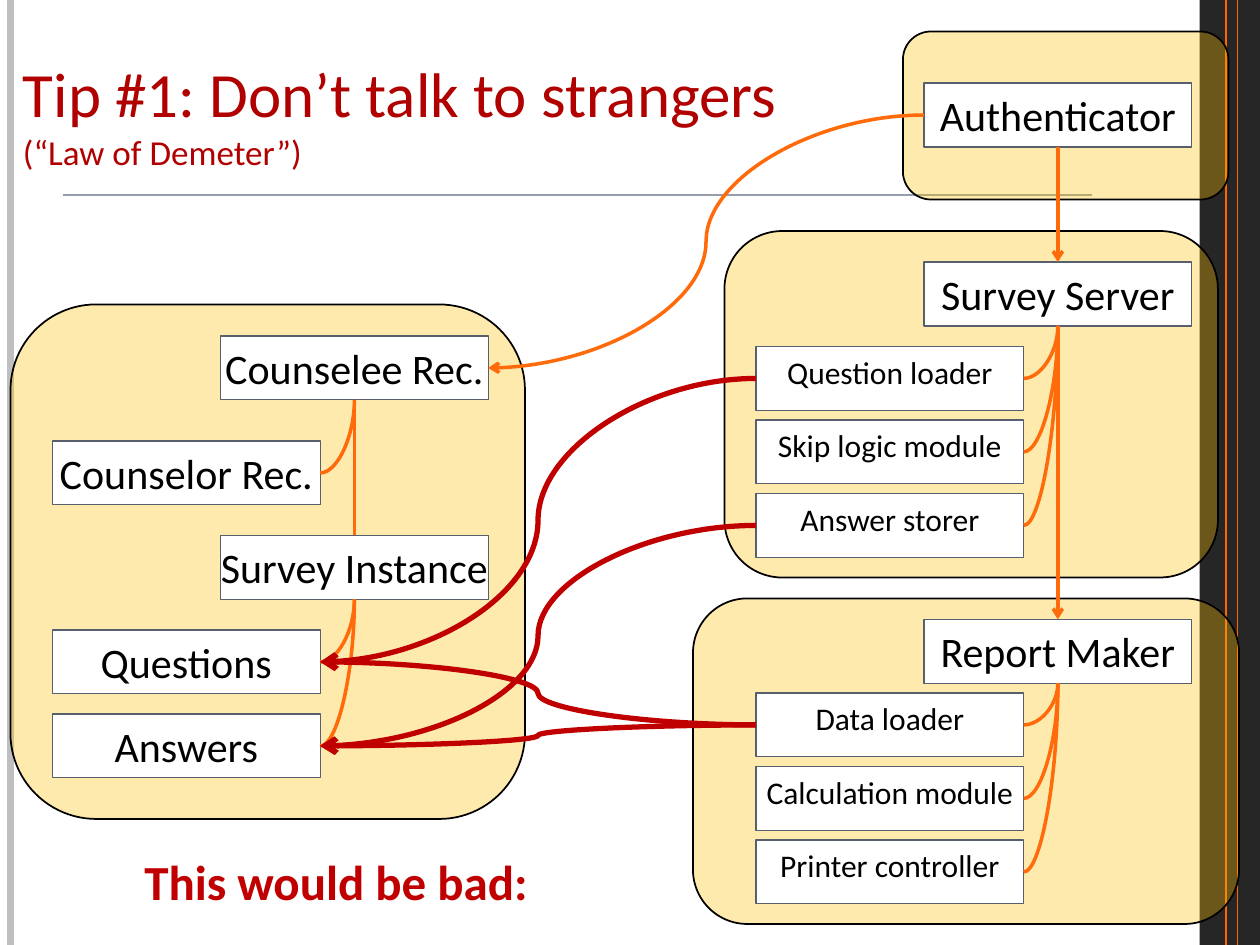
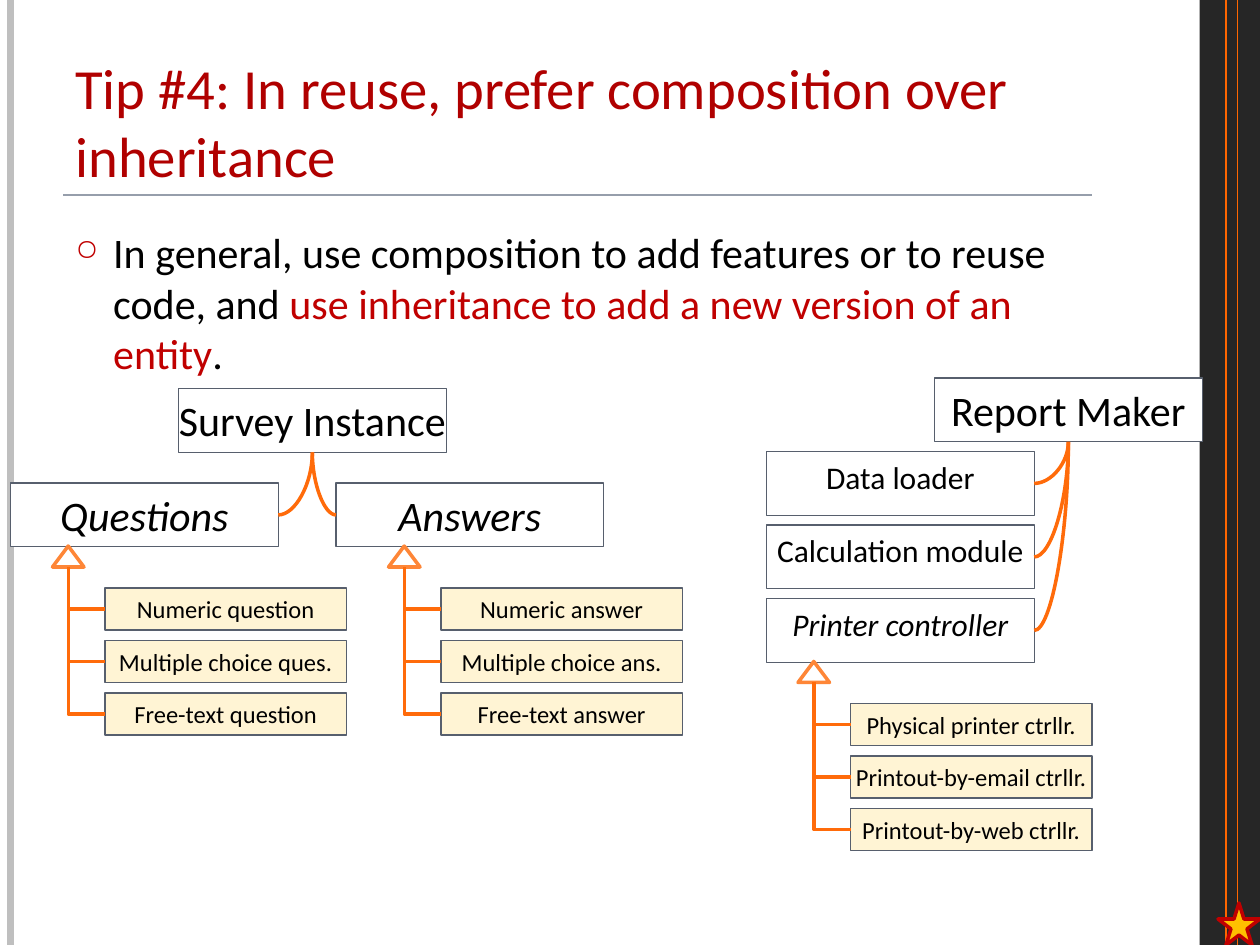
from lxml import etree
from pptx import Presentation
from pptx.dml.color import RGBColor
from pptx.enum.shapes import MSO_CONNECTOR, MSO_SHAPE
from pptx.enum.text import MSO_ANCHOR, MSO_AUTO_SIZE, PP_ALIGN
from pptx.oxml.ns import qn
from pptx.util import Pt

RECT = MSO_SHAPE.RECTANGLE
ROUNDED = MSO_SHAPE.ROUNDED_RECTANGLE
TRIANGLE = MSO_SHAPE.ISOSCELES_TRIANGLE
STAR = MSO_SHAPE.STAR_5_POINT
STRAIGHT, CURVE, ELBOW = MSO_CONNECTOR.STRAIGHT, MSO_CONNECTOR.CURVE, MSO_CONNECTOR.ELBOW
TOP, BOTTOM = MSO_ANCHOR.TOP, MSO_ANCHOR.BOTTOM
CENTER, LEFT = PP_ALIGN.CENTER, PP_ALIGN.LEFT
GROW = MSO_AUTO_SIZE.SHAPE_TO_FIT_TEXT

FONT = "Calibri"
BLACK = RGBColor(0x00, 0x00, 0x00)
WHITE = RGBColor(0xFF, 0xFF, 0xFF)
CHARCOAL = RGBColor(0x26, 0x26, 0x26)
GREY = RGBColor(0xBF, 0xBF, 0xBF)
RULE_GREY = RGBColor(0x96, 0x9E, 0xAB)
SLATE = RGBColor(0x57, 0x5F, 0x6D)
TITLE_RED = RGBColor(0xB0, 0x00, 0x00)
RED = RGBColor(0xC0, 0x00, 0x00)
GOLD = RGBColor(0xFF, 0xC0, 0x00)
BAND_ORANGE = RGBColor(0xFF, 0x66, 0x00)
ORANGE = RGBColor(0xFF, 0x6B, 0x0A)
PALE_ORANGE = RGBColor(0xFE, 0x86, 0x37)

BOX_WIDTH, BOX_HEIGHT = 153, 36.5
PART_SHIFT, PART_STEP = 96, 42
SUBCLASS_WIDTH, SUBCLASS_HEIGHT, SUBCLASS_STEP = 138, 24, 30


def add_text(paragraph, text, size=24, color=BLACK, bold=False, italic=False):
    """Append one formatted run to a paragraph."""
    run = paragraph.add_run()
    run.text = text
    run.font.name = FONT
    run.font.size = Pt(size)
    run.font.color.rgb = color
    run.font.bold = bold
    run.font.italic = italic


def add_figure(slide, kind, left, top, width, height, fill, line=None, weight=1, alpha=None):
    """Add a filled preset shape, with alpha as a percentage."""
    figure = slide.shapes.add_shape(kind, Pt(left), Pt(top), Pt(width), Pt(height))
    figure.shadow.inherit = False
    figure.fill.solid()
    figure.fill.fore_color.rgb = fill
    if alpha is not None:
        fill_color = figure._element.spPr.find(qn("a:solidFill"))[0]
        etree.SubElement(fill_color, qn("a:alpha"), val=str(alpha * 1000))
    if line is None:
        figure.line.fill.background()
    else:
        figure.line.color.rgb = line
        figure.line.width = Pt(weight)
    return figure


def add_box(slide, text, left, top, width=BOX_WIDTH, height=BOX_HEIGHT,
            fill=WHITE, alpha=None, **text_format):
    """Add an outlined box with a centred label."""
    box = add_figure(slide, RECT, left, top, width, height, fill, SLATE, 0.75, alpha)
    frame = box.text_frame
    frame.word_wrap = False
    frame.vertical_anchor = TOP
    frame.paragraphs[0].alignment = CENTER
    add_text(frame.paragraphs[0], text, **text_format)
    return box


def add_text_area(slide, left, top, width, height, anchor=TOP, wrap=True):
    """Add a text box and return its frame."""
    area = slide.shapes.add_textbox(Pt(left), Pt(top), Pt(width), Pt(height))
    area.text_frame.word_wrap = wrap
    area.text_frame.vertical_anchor = anchor
    area.text_frame.paragraphs[0].alignment = LEFT
    return area.text_frame


def set_indent(paragraph, margin, hanging):
    """Set the left margin and hanging indent of a paragraph."""
    properties = paragraph._p.get_or_add_pPr()
    properties.set("marL", str(Pt(margin)))
    properties.set("indent", str(-Pt(hanging)))
    return properties


def add_bullet(paragraph):
    """Give a paragraph the small red ring bullet."""
    properties = set_indent(paragraph, 21.6, 21.6)
    color = etree.SubElement(properties, qn("a:buClr"))
    etree.SubElement(color, qn("a:srgbClr"), val=str(RED))
    etree.SubElement(properties, qn("a:buSzPct"), val="70000")
    etree.SubElement(properties, qn("a:buChar"), char="○")


def add_link(slide, kind, start, end, color=ORANGE, weight=2, arrow=False):
    """Add a connector between two points given in EMU."""
    link = slide.shapes.add_connector(kind, *(int(value) for value in (*start, *end)))
    link.line.color.rgb = color
    link.line.width = Pt(weight)
    properties = link._element.spPr
    if arrow:
        etree.SubElement(properties.find(qn("a:ln")), qn("a:tailEnd"), type="arrow")
    etree.SubElement(properties, qn("a:effectLst"))
    return link


def add_drop(slide, kind, start, end, preset, arrow=False):
    """Add a connector that leaves downwards, as a turned preset."""
    (x1, y1), (x2, y2) = start, end
    center_x, center_y = (x1 + x2) / 2, (y1 + y2) / 2
    half_length, half_width = (y2 - y1) / 2, abs(x2 - x1) / 2
    side = -1 if x2 > x1 else 1
    link = add_link(
        slide, kind,
        (center_x - side * half_length, center_y - half_width),
        (center_x + side * half_length, center_y + half_width),
        arrow=arrow)
    properties = link._element.spPr
    properties.find(qn("a:xfrm")).set("rot", str(side * 90 % 360 * 60000))
    properties.find(qn("a:prstGeom")).set("prst", preset)


def left_side(box):
    """Return the middle of the left edge."""
    return box.left, box.top + box.height / 2


def right_side(box):
    """Return the middle of the right edge."""
    return box.left + box.width, box.top + box.height / 2


def top_side(box):
    """Return the middle of the top edge."""
    return box.left + box.width / 2, box.top


def bottom_side(box):
    """Return the middle of the bottom edge."""
    return box.left + box.width / 2, box.top + box.height


def add_member(slide, owner, member):
    """Curve from an owner down to the near side of its member."""
    side = left_side if member.left > owner.left else right_side
    add_drop(slide, CURVE, bottom_side(owner), side(member), "curvedConnector2")


def add_next(slide, upper, lower, arrow=True):
    """Link two boxes that stand in one column."""
    add_drop(slide, CURVE, bottom_side(upper), top_side(lower), "curvedConnector3", arrow)


def add_module(slide, title, left, top, parts, gap=42, abstract=()):
    """Add a module box with its column of parts; return all boxes."""
    module = add_box(slide, title, left, top)
    part_boxes = []
    for row, part in enumerate(parts):
        part_box = add_box(slide, part, left - PART_SHIFT, top + gap + row * PART_STEP,
                           size=18, italic=part in abstract)
        add_member(slide, module, part_box)
        part_boxes.append(part_box)
    return module, part_boxes


def add_subclasses(slide, left, top, names):
    """Add an inheritance triangle with its column of subclasses."""
    triangle = add_figure(slide, TRIANGLE, left, top, 18, 12, WHITE, PALE_ORANGE, 2)
    for row, name in enumerate(names):
        subclass = add_box(slide, name, left + 30, top + 24 + row * SUBCLASS_STEP,
                           SUBCLASS_WIDTH, SUBCLASS_HEIGHT, GOLD, 17, size=14)
        add_drop(slide, ELBOW, bottom_side(triangle), left_side(subclass), "bentConnector2")


def add_themed_slide(deck):
    """Add a blank slide with the side bands and the title rule."""
    slide = deck.slides.add_slide(deck.slide_layouts[6])
    add_figure(slide, RECT, 685.5, 0, 34.5, 540, CHARCOAL)
    for x, color, weight in ((6, GREY, 4.5), (700.5, BAND_ORANGE, 0.75), (707, BAND_ORANGE, 0.75)):
        add_link(slide, STRAIGHT, (Pt(x), 0), (Pt(x), Pt(540)), color, weight)
    add_link(slide, STRAIGHT, (Pt(36), Pt(111.5)), (Pt(624), Pt(111.5)), RULE_GREY, 1)
    return slide


def add_title(slide, text, left, top, size, subtitle=None):
    """Add the red title, with an optional smaller second line."""
    paragraph = add_text_area(slide, left, top, 588, 90, BOTTOM).paragraphs[0]
    add_text(paragraph, text, size=size, color=TITLE_RED)
    if subtitle:
        paragraph.add_line_break()
        add_text(paragraph, subtitle, size=20, color=TITLE_RED)


def build_strangers_slide(deck):
    """Build the slide on the Law of Demeter."""
    slide = add_themed_slide(deck)
    for area in ((396, 342, 312, 186), (414, 132, 282, 198), (516, 18, 186, 96), (6, 174, 294, 294)):
        add_figure(slide, ROUNDED, *area, GOLD, BLACK, 1, 32)
    add_title(slide, "Tip #1: Don’t talk to strangers", 6, 12, 36, "(“Law of Demeter”)")

    counselee = add_box(slide, "Counselee Rec.", 126, 192)
    counselor = add_box(slide, "Counselor Rec.", 30, 252)
    survey = add_box(slide, "Survey Instance", 126, 306)
    questions = add_box(slide, "Questions", 30, 360)
    answers = add_box(slide, "Answers", 30, 408)
    authenticator = add_box(slide, "Authenticator", 528, 47.5)
    server, (question_loader, _, answer_storer) = add_module(
        slide, "Survey Server", 528, 149.75,
        ("Question loader", "Skip logic module", "Answer storer"), gap=48.25)
    report, (data_loader, _, _) = add_module(
        slide, "Report Maker", 528, 354,
        ("Data loader", "Calculation module", "Printer controller"))

    for owner, member in ((counselee, counselor), (survey, questions), (survey, answers)):
        add_member(slide, owner, member)
    add_next(slide, counselee, survey, arrow=False)
    add_next(slide, authenticator, server)
    add_next(slide, server, report)
    add_link(slide, CURVE, left_side(authenticator), right_side(counselee), arrow=True)
    for stranger, record in ((question_loader, questions), (answer_storer, answers),
                             (data_loader, questions), (data_loader, answers)):
        add_link(slide, CURVE, left_side(stranger), right_side(record), RED, 3, True)

    warning = add_text_area(slide, 66, 483, 245, 63, wrap=False)
    warning.auto_size = GROW
    set_indent(warning.paragraphs[0], 36, 26.6)
    add_text(warning.paragraphs[0], "This would be bad:", size=28, color=RED, bold=True)


def build_composition_slide(deck):
    """Build the slide on composition and inheritance."""
    slide = add_themed_slide(deck)
    add_title(slide, "Tip #4: In reuse, prefer composition over inheritance", 36, 21.5, 32.4)
    advice = add_text_area(slide, 36, 126, 588, 384).paragraphs[0]
    advice.space_before = Pt(6)
    add_bullet(advice)
    add_text(advice, "In general, use composition to add features or to reuse code, and ")
    add_text(advice, "use inheritance to add a new version of an entity", color=RED)
    add_text(advice, ".")
    add_figure(slide, STAR, 696, 516, 24, 24, GOLD, RED, 2)

    survey = add_box(slide, "Survey Instance", 102, 222)
    for name, left in (("Questions", 6), ("Answers", 192)):
        add_member(slide, survey, add_box(slide, name, left, 276, italic=True))
    add_module(slide, "Report Maker", 534, 216,
               ("Data loader", "Calculation module", "Printer controller"),
               abstract=("Printer controller",))

    add_subclasses(slide, 30, 312, ("Numeric question", "Multiple choice ques.", "Free-text question"))
    add_subclasses(slide, 222, 312, ("Numeric answer", "Multiple choice ans.", "Free-text answer"))
    add_subclasses(slide, 456, 378, ("Physical printer ctrllr.", "Printout-by-email ctrllr.",
                                     "Printout-by-web ctrllr."))


def main():
    """Build both slides and save the deck."""
    deck = Presentation()
    deck.slide_width, deck.slide_height = Pt(720), Pt(540)
    build_strangers_slide(deck)
    build_composition_slide(deck)
    deck.save("out.pptx")


main()
